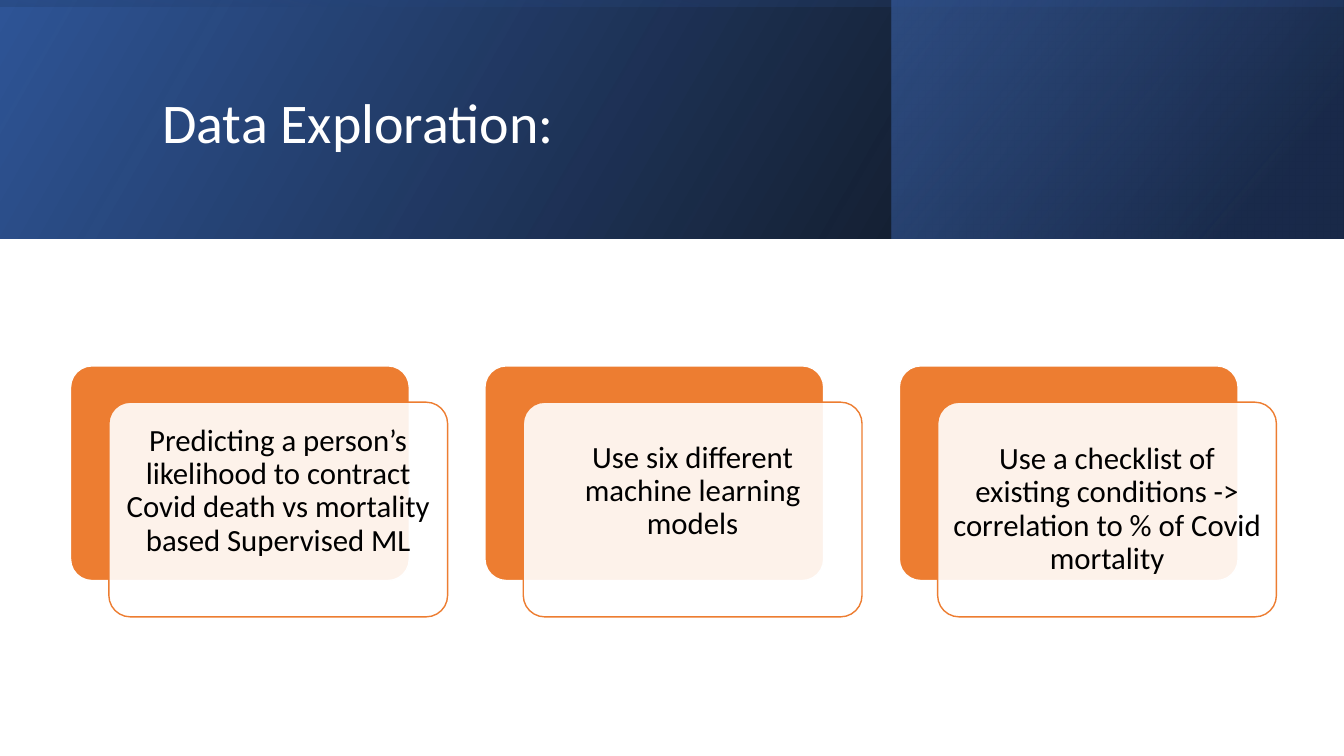
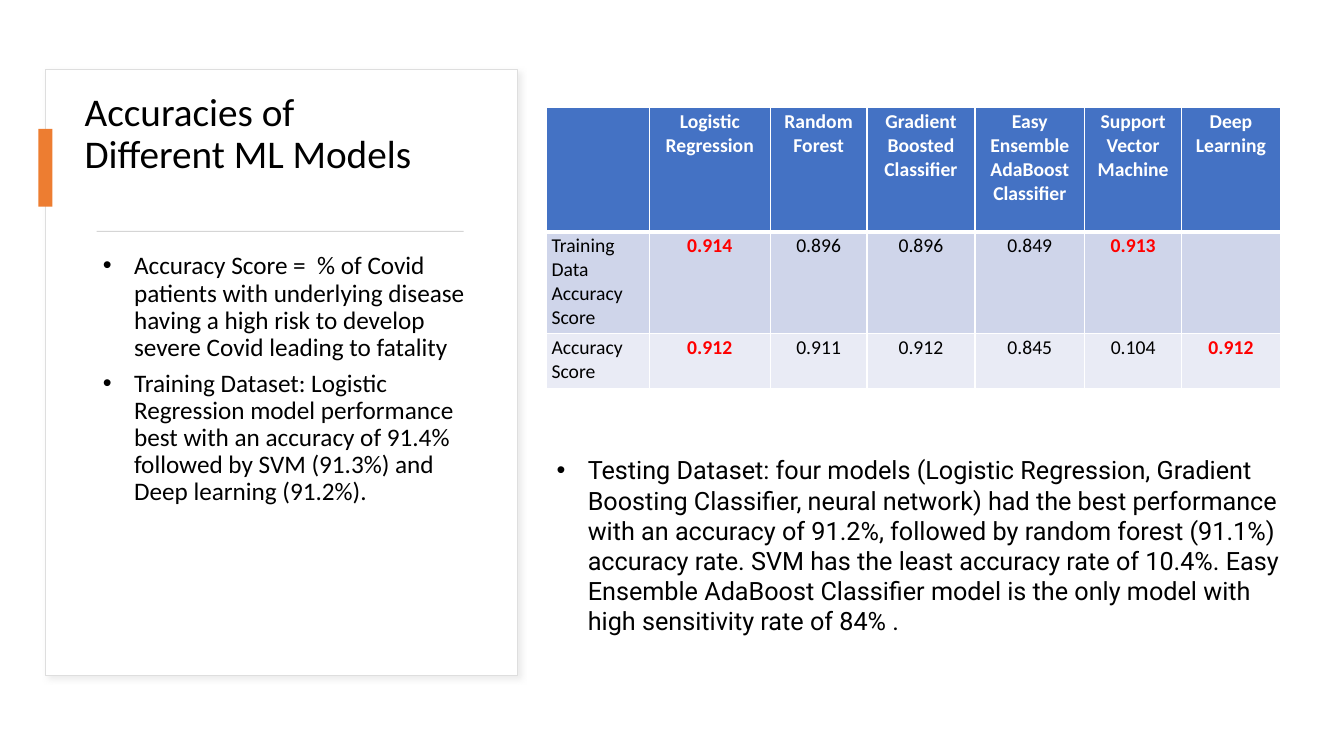
import dataclasses
from typing import Optional

import pptx
import pptx.dml.color
import pptx.enum.shapes
import pptx.enum.text
import pptx.oxml
import pptx.oxml.ns
import pptx.shapes.autoshape
import pptx.shapes.base
import pptx.slide
import pptx.table
import pptx.text.text
import pptx.util
from lxml import etree

BLACK = pptx.dml.color.RGBColor(0x00, 0x00, 0x00)
WHITE = pptx.dml.color.RGBColor(0xFF, 0xFF, 0xFF)
RED = pptx.dml.color.RGBColor(0xFF, 0x00, 0x00)
ORANGE = pptx.dml.color.RGBColor(0xED, 0x7D, 0x31)
BLUE = pptx.dml.color.RGBColor(0x44, 0x72, 0xC4)
DARK_BLUE = pptx.dml.color.RGBColor(0x2F, 0x55, 0x97)
NAVY = pptx.dml.color.RGBColor(0x20, 0x38, 0x64)
ROW_TINTS = (
    pptx.dml.color.RGBColor(0xCF, 0xD5, 0xEA),
    pptx.dml.color.RGBColor(0xE9, 0xEB, 0xF5),
)
FRAME_GREY = pptx.dml.color.RGBColor(0xDE, 0xDE, 0xDE)
RULE_GREY = pptx.dml.color.RGBColor(0xD5, 0xD5, 0xD5)
FONT = "Calibri"
RECT = pptx.enum.shapes.MSO_SHAPE.RECTANGLE
ROUNDED = pptx.enum.shapes.MSO_SHAPE.ROUNDED_RECTANGLE
LEFT = pptx.enum.text.PP_ALIGN.LEFT
CENTER = pptx.enum.text.PP_ALIGN.CENTER
A_NS = "http://schemas.openxmlformats.org/drawingml/2006/main"


@dataclasses.dataclass(frozen=True)
class Box:
    """A rectangle measured in inches."""
    left: float
    top: float
    width: float
    height: float

    def emu(self) -> tuple[int, ...]:
        return tuple(pptx.util.Inches(v) for v in dataclasses.astuple(self))


@dataclasses.dataclass(frozen=True)
class Stop:
    position: float
    color: pptx.dml.color.RGBColor
    opacity: int


@dataclasses.dataclass(frozen=True)
class Band:
    box: Box
    stops: tuple[Stop, Stop]
    angle: int
    rotation: int = 0


@dataclasses.dataclass(frozen=True)
class Card:
    text: str
    lift: float = 0.0


BANDS = (
    Band(Box(0, 0, 13.33, 2.37), (Stop(0, BLACK, 96), Stop(1, DARK_BLUE, 100)), 30),
    Band(Box(8.84, 0, 4.48, 2.37), (Stop(0.19, NAVY, 68), Stop(1, BLUE, 48)), 40),
    Band(Box(5.48, -5.48, 2.37, 13.33),
         (Stop(0.23, DARK_BLUE, 16), Stop(0.99, BLACK, 45)), 10, 270),
)
CARDS = (
    Card("Predicting a person’s likelihood to contract Covid death vs mortality "
         "based Supervised ML", 0.36),
    Card("Use six different machine learning models", 0.36),
    Card("Use a checklist of existing conditions -> correlation to % of Covid mortality"),
)
CARD_LEFT, CARD_TOP, CARD_STEP = 0.7, 3.63, 4.11
CARD_WIDTH, CARD_HEIGHT = 3.36, 2.13
PANEL_DX, PANEL_DY = 0.38, 0.36

TRAINING_NOTES = (
    "Accuracy Score =  % of Covid patients with underlying disease having a high risk "
    "to develop severe Covid leading to fatality",
    "Training Dataset: Logistic Regression model performance best with an accuracy of "
    "91.4% followed by SVM (91.3%) and Deep learning (91.2%).",
)
TESTING_NOTES = (
    "Testing Dataset: four models (Logistic Regression, Gradient Boosting Classifier, "
    "neural network) had the best performance with an accuracy of 91.2%, followed by "
    "random forest (91.1%) accuracy rate. SVM has the least accuracy rate of 10.4%. "
    "Easy Ensemble AdaBoost Classifier model is the only model with high sensitivity "
    "rate of 84% .",
)
SCORES = (
    ("", "Logistic Regression", "Random Forest", "Gradient Boosted Classifier",
     "Easy Ensemble AdaBoost\nClassifier", "Support Vector Machine", "Deep Learning"),
    ("Training Data Accuracy Score", "0.914", "0.896", "0.896", "0.849", "0.913", ""),
    ("Accuracy Score", "0.912", "0.911", "0.912", "0.845", "0.104", "0.912"),
)
BEST_SCORES = {(1, 1), (1, 5), (2, 1), (2, 6)}
COLUMN_WIDTHS = (1.02, 1.2, 0.96, 1.07, 1.09, 0.96, 0.98)
ROW_HEIGHTS = (1.23, 1.01, 0.55)


def set_opacity(color: etree._Element, percent: int) -> None:
    alpha = etree.SubElement(color, pptx.oxml.ns.qn("a:alpha"))
    alpha.set("val", str(percent * 1000))


def add_run(p: pptx.text.text._Paragraph, text: str, size: float,
            color: pptx.dml.color.RGBColor = BLACK, bold: bool = False,
            font: str = FONT) -> None:
    r = p.add_run()
    r.text = text
    r.font.name = font
    r.font.size = pptx.util.Pt(size)
    r.font.bold = bold
    r.font.color.rgb = color


def add_block(slide: pptx.slide.Slide, box: Box,
              fill: Optional[pptx.dml.color.RGBColor] = None,
              line: Optional[pptx.dml.color.RGBColor] = None, weight: float = 1,
              kind: pptx.enum.shapes.MSO_SHAPE = RECT) -> pptx.shapes.autoshape.Shape:
    sp = slide.shapes.add_shape(kind, *box.emu())
    sp.shadow.inherit = False
    if fill is not None:
        sp.fill.solid()
        sp.fill.fore_color.rgb = fill
    if line is None:
        sp.line.fill.background()
    else:
        sp.line.color.rgb = line
        sp.line.width = pptx.util.Pt(weight)
    if kind == ROUNDED:
        sp.adjustments[0] = 0.1
    return sp


def place_in_front(sp: pptx.shapes.base.BaseShape, box: Box) -> None:
    sp.left, sp.top, sp.width, sp.height = box.emu()
    sp.element.getparent().append(sp.element)


def set_title(slide: pptx.slide.Slide, text: str, box: Box, size: float,
              color: pptx.dml.color.RGBColor) -> None:
    sp = slide.shapes.title
    place_in_front(sp, box)
    tf = sp.text_frame
    tf.word_wrap = True
    tf.auto_size = pptx.enum.text.MSO_AUTO_SIZE.NONE
    tf.vertical_anchor = pptx.enum.text.MSO_ANCHOR.MIDDLE
    p = tf.paragraphs[0]
    p.alignment = LEFT
    p.line_spacing = 0.9
    add_run(p, text, size, color)


def set_bullets(sp: pptx.shapes.base.BaseShape, items: tuple[str, ...], box: Box,
                font: str, spacing: float, after: float) -> None:
    place_in_front(sp, box)
    tf = sp.text_frame
    tf.word_wrap = True
    tf.auto_size = pptx.enum.text.MSO_AUTO_SIZE.NONE
    tf.vertical_anchor = pptx.enum.text.MSO_ANCHOR.TOP
    indent = pptx.util.Inches(0.31)
    for i, item in enumerate(items):
        p = tf.add_paragraph() if i else tf.paragraphs[0]
        p.line_spacing = spacing
        p.space_before = pptx.util.Pt(0)
        p.space_after = pptx.util.Pt(after)
        p_pr = p._p.get_or_add_pPr()
        p_pr.set("marL", str(indent))
        p_pr.set("indent", str(-indent))
        add_run(p, item, 18, font=font)


def add_band(slide: pptx.slide.Slide, band: Band) -> None:
    """Draw a mirrored rectangle with a see-through gradient."""
    sp = add_block(slide, band.box)
    sp.rotation = band.rotation
    sp.element.spPr.find(pptx.oxml.ns.qn("a:xfrm")).set("flipH", "1")
    sp.fill.gradient()
    sp.fill.gradient_angle = band.angle
    for target, stop in zip(sp.fill.gradient_stops, band.stops):
        target.position = stop.position
        target.color.rgb = stop.color
    colors = sp.element.spPr.findall(".//" + pptx.oxml.ns.qn("a:srgbClr"))
    for color, stop in zip(colors, band.stops):
        set_opacity(color, stop.opacity)


def add_card(slide: pptx.slide.Slide, card: Card, left: float) -> None:
    """Draw an orange plate with an offset panel; lift raises the panel's text."""
    add_block(slide, Box(left, CARD_TOP, CARD_WIDTH, CARD_HEIGHT), ORANGE, WHITE,
              kind=ROUNDED)
    panel = Box(left + PANEL_DX, CARD_TOP + PANEL_DY, CARD_WIDTH, CARD_HEIGHT)
    sp = add_block(slide, panel, WHITE, ORANGE, kind=ROUNDED)
    set_opacity(sp.element.spPr.find(".//" + pptx.oxml.ns.qn("a:srgbClr")), 90)
    tf = sp.text_frame
    tf.word_wrap = True
    tf.vertical_anchor = pptx.enum.text.MSO_ANCHOR.MIDDLE
    tf.margin_left = tf.margin_right = tf.margin_top = pptx.util.Inches(0.09)
    tf.margin_bottom = pptx.util.Inches(0.09 + card.lift)
    p = tf.paragraphs[0]
    p.alignment = CENTER
    p.line_spacing = 0.9
    add_run(p, card.text, 22)


def add_soft_shadow(sp: pptx.shapes.autoshape.Shape) -> None:
    effects = sp.element.spPr.find(pptx.oxml.ns.qn("a:effectLst"))
    effects.append(pptx.oxml.parse_xml(
        f'<a:outerShdw xmlns:a="{A_NS}" blurRad="{pptx.util.Pt(4)}" '
        f'dist="{pptx.util.Pt(3)}" dir="{45 * 60000}" algn="tl" rotWithShape="0">'
        '<a:srgbClr val="D9D9D9"><a:alpha val="50000"/></a:srgbClr></a:outerShdw>'))


def set_borders(cell: pptx.table._Cell, bottom: float) -> None:
    tc_pr = cell._tc.get_or_add_tcPr()
    weights = {"lnL": 1, "lnR": 1, "lnT": 1, "lnB": bottom}
    for i, (side, weight) in enumerate(weights.items()):
        tc_pr.insert(i, pptx.oxml.parse_xml(
            f'<a:{side} xmlns:a="{A_NS}" w="{pptx.util.Pt(weight)}"><a:solidFill>'
            f'<a:srgbClr val="{WHITE}"/></a:solidFill></a:{side}>'))


def add_score_table(slide: pptx.slide.Slide) -> None:
    box = Box(5.42, 1.07, sum(COLUMN_WIDTHS), sum(ROW_HEIGHTS))
    table = slide.shapes.add_table(len(SCORES), len(COLUMN_WIDTHS), *box.emu()).table
    for column, width in zip(table.columns, COLUMN_WIDTHS):
        column.width = pptx.util.Inches(width)
    for i, (row, height) in enumerate(zip(SCORES, ROW_HEIGHTS)):
        table.rows[i].height = pptx.util.Inches(height)
        header = i == 0
        for j, text in enumerate(row):
            cell = table.cell(i, j)
            cell.fill.solid()
            cell.fill.fore_color.rgb = BLUE if header else ROW_TINTS[i - 1]
            # The line under the header is heavier on both sides of the edge.
            set_borders(cell, 3 if header else 1)
            cell.margin_left = cell.margin_right = pptx.util.Inches(0.05)
            cell.margin_top = cell.margin_bottom = pptx.util.Inches(0.02)
            best = (i, j) in BEST_SCORES
            color = WHITE if header else RED if best else BLACK
            for k, part in enumerate(text.split("\n") if text else ()):
                tf = cell.text_frame
                p = tf.add_paragraph() if k else tf.paragraphs[0]
                p.alignment = CENTER if header or j else LEFT
                add_run(p, part, 14, color, header or best)


def build_exploration(prs: pptx.presentation.Presentation) -> None:
    slide = prs.slides.add_slide(prs.slide_layouts[5])
    for band in BANDS:
        add_band(slide, band)
    set_title(slide, "Data Exploration:", Box(1.51, 0.38, 10.63, 1.72), 40, WHITE)
    for i, card in enumerate(CARDS):
        add_card(slide, card, CARD_LEFT + i * CARD_STEP)


def build_accuracies(prs: pptx.presentation.Presentation) -> None:
    slide = prs.slides.add_slide(prs.slide_layouts[3])
    frame = add_block(slide, Box(0.45, 0.69, 4.68, 6.01), WHITE, FRAME_GREY, 0.75)
    add_soft_shadow(frame)
    set_title(slide, "Accuracies of Different ML Models",
              Box(0.74, 0.73, 3.73, 1.21), 28, BLACK)
    add_block(slide, Box(0.38, 1.28, 0.14, 0.77), ORANGE)
    add_block(slide, Box(0.96, 2.29, 3.64, 0.01), RULE_GREY)
    set_bullets(slide.placeholders[1], TRAINING_NOTES,
                Box(0.92, 2.46, 3.91, 4.06), FONT, 0.9, 6)
    add_score_table(slide)
    set_bullets(slide.placeholders[2], TESTING_NOTES,
                Box(5.42, 4.46, 7.4, 2.24), "Roboto", 1.0, 0)


def main() -> None:
    prs = pptx.Presentation()
    prs.slide_width = pptx.util.Inches(13.33)
    prs.slide_height = pptx.util.Inches(7.5)
    build_exploration(prs)
    build_accuracies(prs)
    prs.save("out.pptx")


if __name__ == "__main__":
    main()
